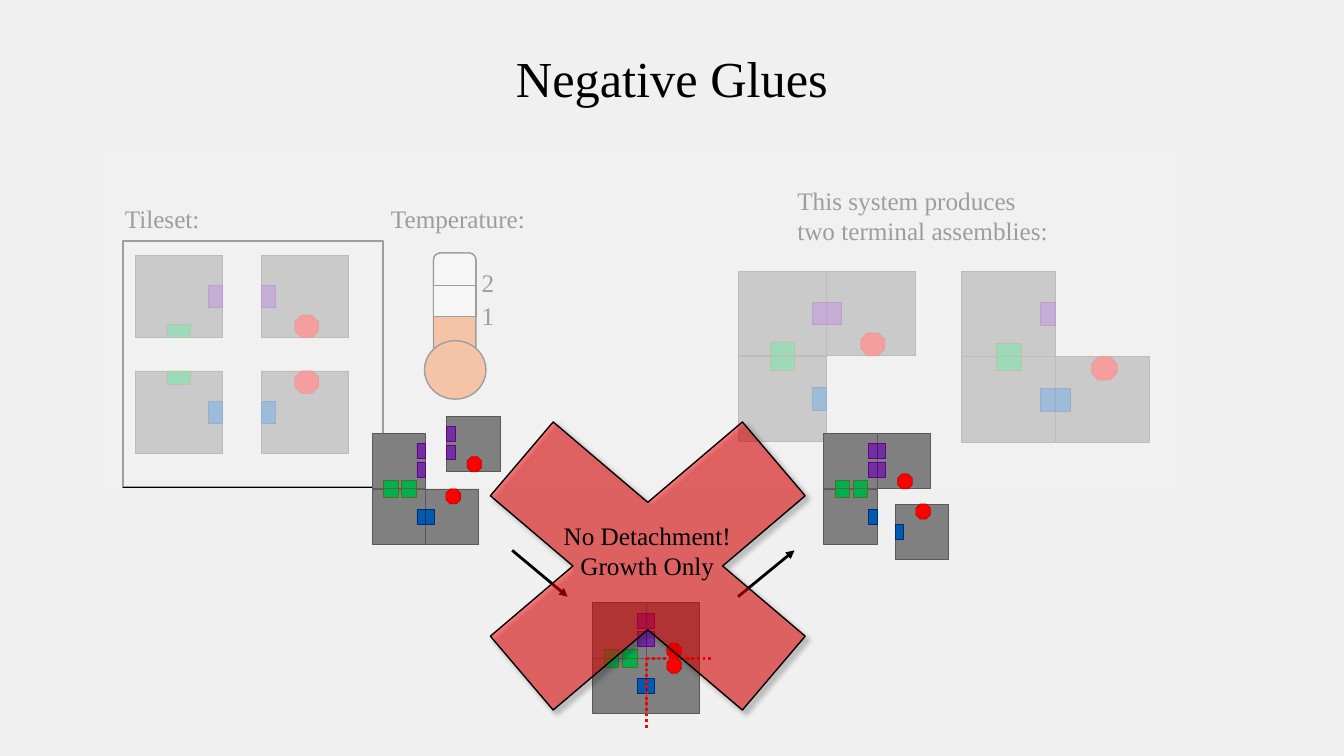
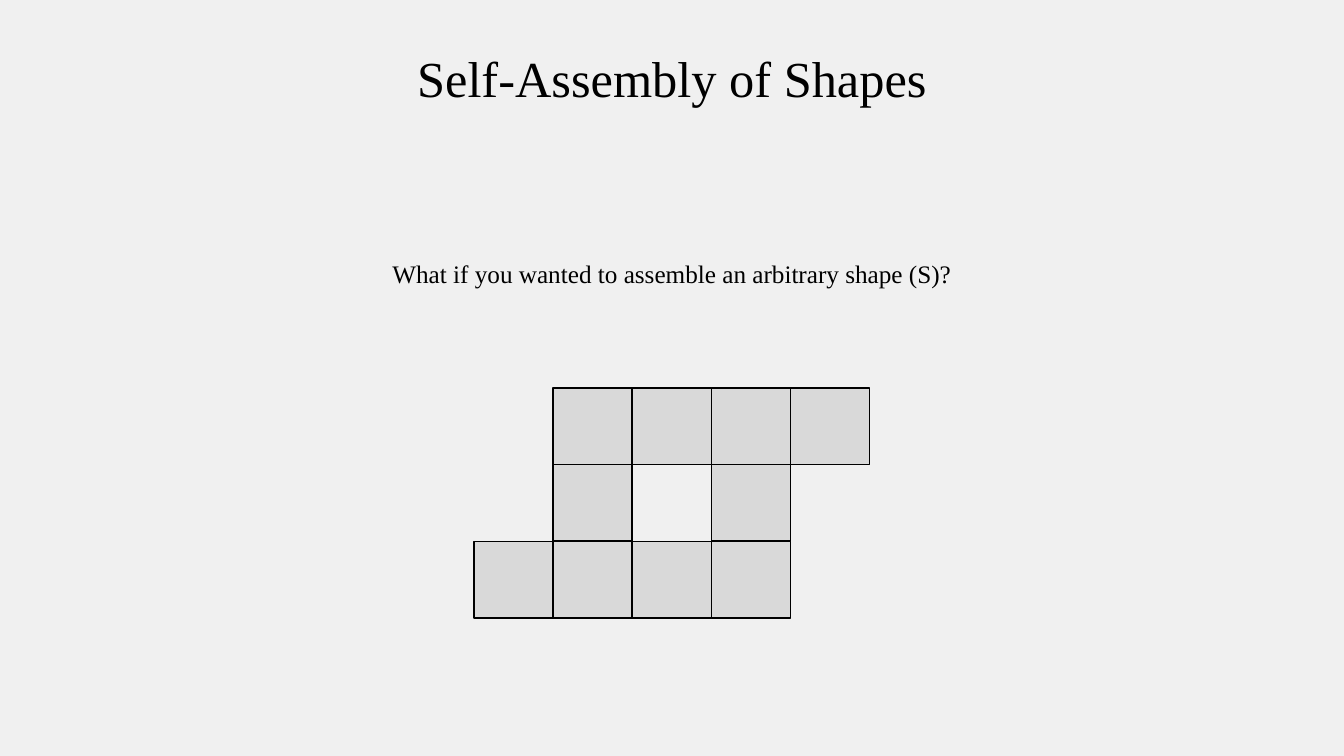
import lxml.etree
import pptx
import pptx.dml.color
import pptx.enum.dml
import pptx.enum.shapes
import pptx.enum.text
import pptx.oxml.ns
import pptx.util

Inches = pptx.util.Inches
SHAPE = pptx.enum.shapes.MSO_SHAPE
ALIGN = pptx.enum.text.PP_ALIGN
FONT = "Times New Roman"
COLORS = {
    "background": "F0F0F0", "ink": "000000", "white": "FFFFFF", "veil": "F2F2F2",
    "tile": "808080", "tile_edge": "595959", "cell": "D9D9D9", "mercury": "FC711C",
    "green": "00B050", "green_edge": "536F1D", "purple": "7030A0", "purple_edge": "64018B",
    "blue": "015AAB", "blue_edge": "002A7E", "red": "FF0000", "red_edge": "C00000",
}
TILES = {
    "NW": ((0, 0), {"bottom": "green", "right": "purple"}),
    "SW": ((0, 1), {"top": "green", "right": "blue"}),
    "SE": ((1, 1), {"left": "blue", "top": "red"}),
    "NE": ((1, 0), {"left": "purple", "bottom": "red"}),
}
SIDES = {"top": (0, -1), "bottom": (0, 1), "left": (-1, 0), "right": (1, 0)}
GLUE_DEPTH, GLUE_LENGTH = 0.16, 0.27
DOUBLED = ("green", "purple")
SMALL_TILE = (0.53, 0.55)


def color(name):
    return pptx.dml.color.RGBColor.from_string(COLORS[name])


def add_xml(parent, tag, **attributes):
    return lxml.etree.SubElement(parent, pptx.oxml.ns.qn(tag), attributes)


def add_block(slide, kind, box, fill=None, line=None, width=1):
    shape = slide.shapes.add_shape(kind, *map(Inches, box))
    shape.shadow.inherit = False
    if fill:
        shape.fill.solid()
        shape.fill.fore_color.rgb = color(fill)
    else:
        shape.fill.background()
    if line:
        shape.line.color.rgb = color(line)
        shape.line.width = pptx.util.Pt(width)
    else:
        shape.line.fill.background()
    return shape


def set_opacity(shape, percent):
    fill = shape.element.spPr.find(pptx.oxml.ns.qn("a:solidFill"))
    add_xml(fill[0], "a:alpha", val=str(percent * 1000))


def write(frame, lines, size, align):
    paragraph = frame.paragraphs[0]
    paragraph.alignment = align
    for index, line in enumerate(lines):
        if index:
            paragraph.add_line_break()
        run = paragraph.add_run()
        run.text = line
        run.font.name = FONT
        run.font.size = pptx.util.Pt(size)
        run.font.color.rgb = color("ink")


def add_text(slide, box, *lines, align=ALIGN.LEFT):
    frame = slide.shapes.add_textbox(*map(Inches, box)).text_frame
    frame.word_wrap = True
    write(frame, lines, 18, align)


def add_line(slide, start, end, line, arrow=False):
    connector = slide.shapes.add_connector(
        pptx.enum.shapes.MSO_CONNECTOR.STRAIGHT, *map(Inches, start + end))
    connector.line.color.rgb = color(line)
    connector.line.width = pptx.util.Pt(2)
    properties = connector.element.spPr
    if arrow:
        add_xml(properties.find(pptx.oxml.ns.qn("a:ln")), "a:tailEnd", type="triangle")
    else:
        connector.line.dash_style = pptx.enum.dml.MSO_LINE.ROUND_DOT
    add_xml(properties, "a:effectLst")


def add_glue(slide, box, side, name, shift):
    left, top, width, height = box
    across, down = SIDES[side]
    octagon = name == "red"
    glue_width = width * (GLUE_DEPTH if across else GLUE_LENGTH)
    glue_height = height * (GLUE_LENGTH if across or octagon else GLUE_DEPTH)
    center_x = left + width / 2 + across * (width - glue_width) / 2
    center_y = top + height / 2 + down * (height - glue_height) / 2
    if across:
        center_y += shift * height
    else:
        center_x += shift * width
    glue_box = (center_x - glue_width / 2, center_y - glue_height / 2, glue_width, glue_height)
    kind = SHAPE.OCTAGON if octagon else SHAPE.RECTANGLE
    add_block(slide, kind, glue_box, name, name + "_edge", 0.5)


def add_tile(slide, box, glues, doubled):
    add_block(slide, SHAPE.RECTANGLE, box, "tile", "tile_edge", 0.5)
    for side, name in glues.items():
        shifts = (0.02,) if name == "red" else (0,)
        if doubled and name in DOUBLED:
            shifts = (-0.18, 0.15) if SIDES[side][0] else (-0.15, 0.19)
        for shift in shifts:
            add_glue(slide, box, side, name, shift)


def add_assembly(slide, corner, size, names, pitch=None, doubled=False):
    pitch = pitch or size
    for name in names:
        (column, row), glues = TILES[name]
        place = (corner[0] + column * pitch[0], corner[1] + row * pitch[1])
        add_tile(slide, place + size, glues, doubled)


def add_loose_tile(slide, corner, name):
    add_tile(slide, corner + SMALL_TILE, TILES[name][1], True)


def add_tileset(slide, left, top):
    add_text(slide, (left - 0.08, top - 0.42, 1.2, 0.4), "Tileset:")
    add_block(slide, SHAPE.RECTANGLE, (left, top, 2.58, 2.44), None, "ink")
    add_assembly(slide, (left + 0.12, top + 0.14), (0.87, 0.82), TILES, (1.25, 1.15))


def add_thermometer(slide, left, top):
    add_text(slide, (left - 0.52, top - 0.54, 1.8, 0.4), "Temperature:")
    add_block(slide, SHAPE.ROUNDED_RECTANGLE, (left, top, 0.42, 1), "mercury", "ink")
    add_block(slide, SHAPE.OVAL, (left - 0.09, top + 0.87, 0.61, 0.58), "mercury", "ink")
    add_block(slide, SHAPE.ROUNDED_RECTANGLE, (left, top, 0.42, 0.4), "white", "ink")
    add_block(slide, SHAPE.RECTANGLE, (left, top + 0.32, 0.42, 0.31), "white", "ink")
    for index, mark in enumerate("21"):
        add_text(slide, (left + 0.38, top + 0.09 + index * 0.33, 0.4, 0.4), mark)


def add_terminal_assemblies(slide, left, top):
    add_text(slide, (left + 0.49, top - 0.9, 2.9, 0.71),
             "This system produces", "two terminal assemblies:")
    add_assembly(slide, (left, top), (0.88, 0.84), ("NW", "SW", "NE"), (0.88, 0.85))
    add_assembly(slide, (left + 2.22, top), (0.93, 0.85), ("NW", "SW", "SE"))


def add_detachment(slide, left, top):
    add_line(slide, (left + 1.39, top + 1.16), (left + 1.94, top + 1.62), "ink", True)
    add_line(slide, (left + 3.63, top + 1.62), (left + 4.19, top + 1.16), "ink", True)
    add_assembly(slide, (left + 2.19, top + 1.68), SMALL_TILE, TILES, doubled=True)
    center = (left + 2.72, top + 2.23)
    add_line(slide, (center[0], center[1] + 0.69), center, "red")
    add_line(slide, center, (center[0] + 0.66, center[1]), "red")
    add_assembly(slide, (left, top), SMALL_TILE, ("NW", "SW", "SE"), doubled=True)
    add_loose_tile(slide, (left + 0.74, top - 0.17), "NE")
    add_assembly(slide, (left + 4.48, top), SMALL_TILE, ("NW", "SW", "NE"), doubled=True)
    add_loose_tile(slide, (left + 5.19, top + 0.7), "SE")


def add_cross(slide, left, top):
    cross = add_block(slide, SHAPE.MATH_MULTIPLY, (left, top, 4.81, 4.09), "red", "ink")
    set_opacity(cross, 49)
    effects = cross.element.spPr.find(pptx.oxml.ns.qn("a:effectLst"))
    shadow = add_xml(effects, "a:outerShdw", blurRad="50800", dist="38100",
                     dir="2700000", algn="tl", rotWithShape="0")
    shade = add_xml(shadow, "a:srgbClr", val=COLORS["ink"])
    add_xml(shade, "a:alpha", val="40000")
    add_text(slide, (left + 1.3, top + 1.54, 2.2, 0.71),
             "No Detachment!", "Growth Only", align=ALIGN.CENTER)


def add_shape_grid(slide, left, top, rows):
    for row, pattern in enumerate(rows):
        for column, mark in enumerate(pattern):
            if mark == "#":
                box = (left + column * 0.785, top + row * 0.76, 0.785, 0.76)
                add_block(slide, SHAPE.RECTANGLE, box, "cell", "ink")


def prepare_layout(presentation):
    fill = presentation.slide_master.background.fill
    fill.solid()
    fill.fore_color.rgb = color("background")
    layout = presentation.slide_layouts[5]
    title = layout.placeholders[0]
    title.left, title.top = Inches(0), Inches(0.41)
    title.width, title.height = presentation.slide_width, Inches(0.71)
    title.text_frame.vertical_anchor = pptx.enum.text.MSO_ANCHOR.MIDDLE
    return layout


def add_titled_slide(presentation, layout, heading):
    slide = presentation.slides.add_slide(layout)
    write(slide.shapes.title.text_frame, (heading,), 36, ALIGN.CENTER)
    return slide


def build_glues_slide(presentation, layout):
    slide = add_titled_slide(presentation, layout, "Negative Glues")
    add_tileset(slide, 1.22, 2.39)
    add_thermometer(slide, 4.3, 2.51)
    add_terminal_assemblies(slide, 7.32, 2.69)
    veil = add_block(slide, SHAPE.RECTANGLE, (0.99, 1.53, 10.7, 3.3), "veil")
    set_opacity(veil, 65)
    add_detachment(slide, 3.69, 4.3)
    add_cross(slide, 4.02, 3.57)


def build_shapes_slide(presentation, layout):
    slide = add_titled_slide(presentation, layout, "Self-Assembly of Shapes")
    add_text(slide, (0, 2.51, 13.33, 0.4),
             "What if you wanted to assemble an arbitrary shape (S)?", align=ALIGN.CENTER)
    add_shape_grid(slide, 4.7, 3.85, (".####", ".#.#.", "####."))


def main():
    presentation = pptx.Presentation()
    presentation.slide_width = Inches(13.33)
    presentation.slide_height = Inches(7.5)
    layout = prepare_layout(presentation)
    build_glues_slide(presentation, layout)
    build_shapes_slide(presentation, layout)
    presentation.save("out.pptx")


if __name__ == "__main__":
    main()
